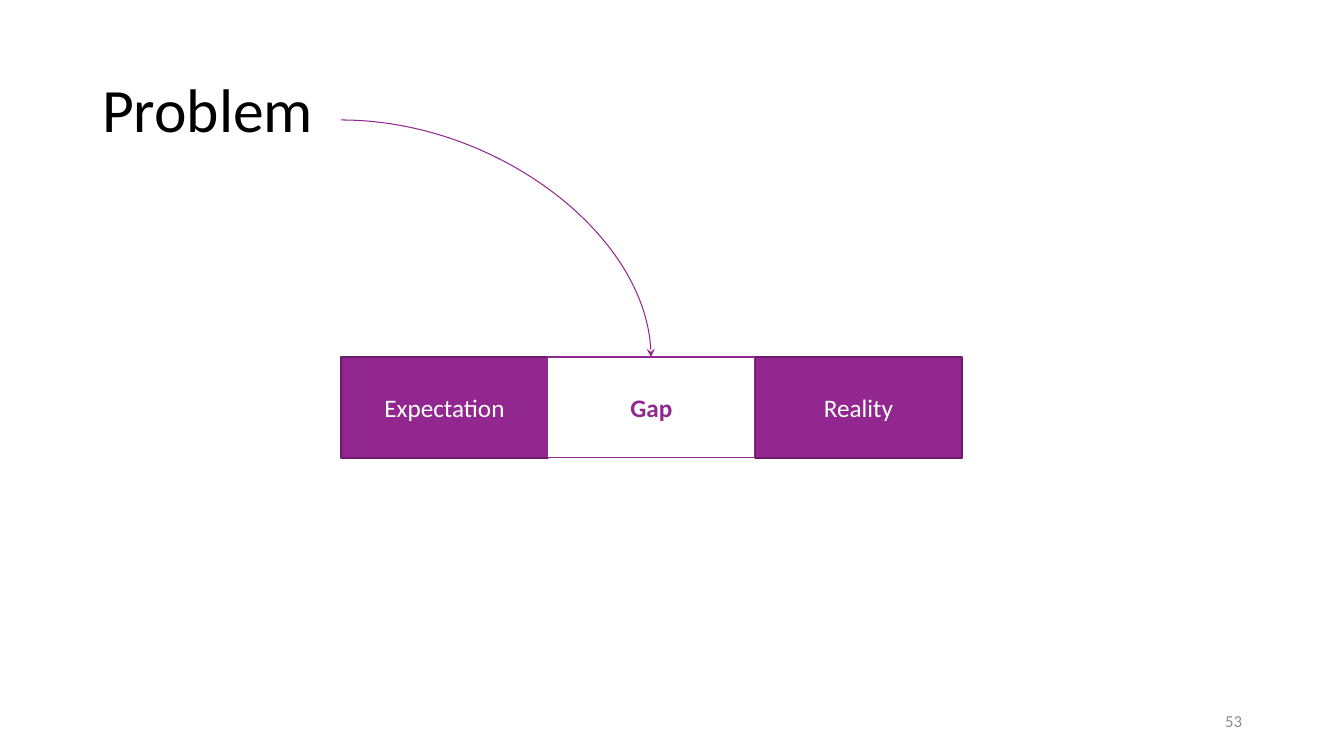
from dataclasses import dataclass

from lxml.etree import SubElement
from pptx import Presentation
from pptx.dml.color import RGBColor as RGB
from pptx.enum.shapes import MSO_CONNECTOR as Link, MSO_SHAPE as Form
from pptx.enum.text import MSO_ANCHOR as Anchor, PP_ALIGN as Align
from pptx.oxml.ns import qn
from pptx.util import Pt

SCALE = 914400 / 100.8  # EMU in one px


def px(count):
    return round(count * SCALE)


@dataclass(frozen=True)
class Theme:
    font: str = "Calibri"
    black: str = "000000"
    white: str = "FFFFFF"
    purple: str = "92278F"
    dark: str = "6A1C68"
    gray: str = "8C8C8C"
    head: int = 44
    body: int = 18
    small: int = 12
    thin: float = 0.75
    edge: float = 1


def write(frame, text, *, font, size, color, bold=False, align=Align.LEFT, space=1.0):
    frame.word_wrap = True
    frame.vertical_anchor = Anchor.MIDDLE
    frame.margin_left = frame.margin_right = Pt(7.2)
    frame.margin_top = frame.margin_bottom = Pt(3.6)
    para = frame.paragraphs[0]
    para.alignment = align
    para.line_spacing = space
    run = para.add_run()
    run.text = text
    run.font.name = font
    run.font.size = Pt(size)
    run.font.bold = bold
    run.font.color.rgb = RGB.from_string(color)


class Canvas:
    def __init__(self, deck, theme):
        self.theme = theme
        self.slide = deck.slides.add_slide(deck.slide_layouts[5])
        self.shapes = self.slide.shapes

    def title(self, text, x, y, w, h):
        box = self.shapes.title
        box.left, box.top, box.width, box.height = map(px, (x, y, w, h))
        write(box.text_frame, text, font=self.theme.font, size=self.theme.head,
              color=self.theme.black, space=0.9)

    def label(self, text, x, y, w, h):
        box = self.shapes.add_textbox(*map(px, (x, y, w, h)))
        write(box.text_frame, text, font=self.theme.font, size=self.theme.small,
              color=self.theme.gray, align=Align.RIGHT)

    def block(self, text, x, y, w, h, *, fill, line, width, ink, bold=False):
        box = self.shapes.add_shape(Form.RECTANGLE, *map(px, (x, y, w, h)))
        box.shadow.inherit = False
        box.fill.solid()
        box.fill.fore_color.rgb = RGB.from_string(fill)
        box.line.color.rgb = RGB.from_string(line)
        box.line.width = Pt(width)
        write(box.text_frame, text, font=self.theme.font, size=self.theme.body,
              color=ink, bold=bold, align=Align.CENTER)

    def curve(self, x1, y1, x2, y2):
        """Draw a quarter-turn arrow that leaves sideways and lands from above."""
        arrow = self.shapes.add_connector(Link.CURVE, *map(px, (x1, y1, x2, y2)))
        arrow.line.color.rgb = RGB.from_string(self.theme.purple)
        arrow.line.width = Pt(self.theme.thin)
        props = arrow.element.spPr
        props.find(qn("a:prstGeom")).set("prst", "curvedConnector2")
        SubElement(props.find(qn("a:ln")), qn("a:tailEnd"), type="stealth")
        SubElement(props, qn("a:effectLst"))


def main():
    deck = Presentation()
    deck.slide_width, deck.slide_height = px(1344), px(756)
    theme = Theme()
    page = Canvas(deck, theme)
    page.title("Problem", 92, 40, 1159, 146)

    left, top, wide, high = 341, 357, 207, 101
    solid = dict(fill=theme.purple, line=theme.dark, width=theme.edge, ink=theme.white)
    blank = dict(fill=theme.white, line=theme.purple, width=theme.thin,
                 ink=theme.purple, bold=True)
    # The gap comes last so that it lies over its neighbours' edges.
    for col, text, look in ((0, "Expectation", solid), (2, "Reality", solid),
                            (1, "Gap", blank)):
        page.block(text, left + col * wide, top, wide, high, **look)

    page.curve(left, 120, left + wide * 3 // 2, top)
    page.label("53", 950, 701, 302, 40)
    deck.save("out.pptx")


if __name__ == "__main__":
    main()
